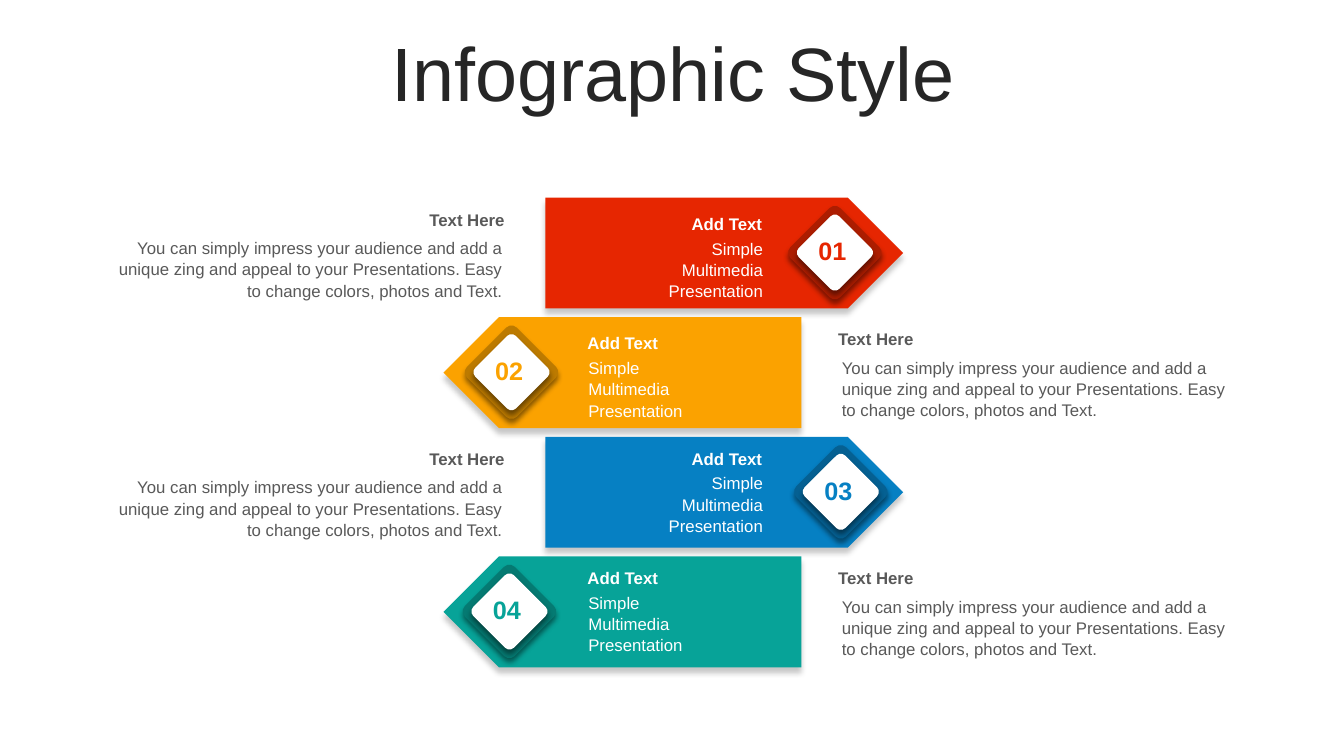
from lxml.etree import SubElement
from pptx import Presentation
from pptx.dml.color import RGBColor
from pptx.enum.shapes import MSO_SHAPE
from pptx.enum.text import MSO_ANCHOR, PP_ALIGN
from pptx.oxml.ns import qn
from pptx.util import Inches, Pt

COLS, ROWS = 160, 90
WIDE, HIGH = Inches(13.333), Inches(7.5)
TOP, PITCH = 23.52, 14.24
BAND_W, BAND_H = 42.6, 13.2
GRAY, WHITE = "595959", "FFFFFF"
NOTE = ("You can simply impress your audience and add a unique zing and appeal "
        "to your Presentations. Easy to change colors, photos and Text.")
LABEL = "Simple Multimedia Presentation"
# number, band colour, badge colour, badge column, label drop in rows
STEPS = [
    ("01", "E62601", "AC1D01", 95.2, 1.32),
    ("02", "FBA200", "BC7A00", 56.7, 1.32),
    ("03", "0680C3", "056092", 95.9, 0.8),
    ("04", "07A398", "057A72", 56.45, 0.75),
]


def grid(x, y, w, h):
    """Turn columns and rows into slide lengths."""
    return [round(v * side / count) for v, side, count in
            ((x, WIDE, COLS), (y, HIGH, ROWS), (w, WIDE, COLS), (h, HIGH, ROWS))]


def color(code):
    return RGBColor.from_string(code)


def add_run(par, text, size, code, bold=False):
    run = par.add_run()
    run.text = text
    font = run.font
    font.name, font.size, font.bold = "Arial", Pt(size), bold
    font.color.rgb = color(code)


def add_text(slide, box, text, size, code, align, bold=False, line=1.0):
    frame = slide.shapes.add_textbox(*grid(*box)).text_frame
    frame.word_wrap = True
    par = frame.paragraphs[0]
    par.alignment, par.line_spacing = align, line
    add_run(par, text, size, code, bold)


def add_shade(shape, alpha, dist):
    """Give the shape a soft shadow that falls straight down."""
    shape.shadow.inherit = False
    effects = shape._element.spPr.find(qn("a:effectLst"))
    outer = SubElement(effects, qn("a:outerShdw"), blurRad=str(Pt(4)),
                       dist=str(Pt(dist)), dir="5400000", algn="t", rotWithShape="0")
    tint = SubElement(outer, qn("a:srgbClr"), val="000000")
    SubElement(tint, qn("a:alpha"), val=str(alpha * 1000))


def add_solid(slide, kind, box, code, turn, alpha, dist):
    shape = slide.shapes.add_shape(kind, *grid(*box))
    shape.fill.solid()
    shape.fill.fore_color.rgb = color(code)
    shape.line.fill.background()
    shape.rotation = turn
    add_shade(shape, alpha, dist)
    return shape


def add_badge(slide, x, y, number, code, dark):
    for inset, side, fill in ((0, 8.4, dark), (0.78, 6.84, WHITE)):
        tile = add_solid(slide, MSO_SHAPE.ROUNDED_RECTANGLE,
                         (x + inset, y + inset, side, side), fill, 315, 43, 3)
        tile.adjustments[0] = 0.107
    add_text(slide, (x + 0.6, y + 1.6, 6.6, 4.8), number, 18, code,
             PP_ALIGN.CENTER, True)


def add_pair(slide, x, y, w, head, body, code, align, inset, trim, gap):
    """Place a bold heading with its text below, set in by inset columns."""
    add_text(slide, (x, y, w, 3.6), head, 12, code, align, True)
    add_text(slide, (x + inset, y + gap, w - trim, 8.5), body, 12, code, align,
             line=1.05)


def add_step(slide, row, number, code, dark, badge, drop):
    y = TOP + row * PITCH
    right = row % 2 == 0
    if right:
        band, turn, label, note, align = 64.92, 0, 73.56, 11.76, PP_ALIGN.RIGHT
    else:
        band, turn, label, note, align = 52.8, 180, 68.76, 98.6, PP_ALIGN.LEFT
    add_solid(slide, MSO_SHAPE.PENTAGON, (band, y, BAND_W, BAND_H), code, turn, 22, 4)
    add_badge(slide, badge, y + 2.35, number, code, dark)
    add_pair(slide, note, y + 0.8, 49.5, "Text Here", NOTE, GRAY, align,
             0.44, 0.68, 3.3)
    add_pair(slide, label, y + drop, 18.36, "Add Text", LABEL, WHITE, align,
             0.1, 0, 2.82)


def add_title(slide, text):
    title = slide.shapes.title
    title.left, title.top, title.width, title.height = grid(4.2, 4.44, 151.9, 9.5)
    frame = title.text_frame
    frame.vertical_anchor = MSO_ANCHOR.MIDDLE
    par = frame.paragraphs[0]
    par.alignment, par.line_spacing = PP_ALIGN.CENTER, 0.9
    add_run(par, text, 54, "262626")


def main():
    deck = Presentation()
    deck.slide_width, deck.slide_height = WIDE, HIGH
    slide = deck.slides.add_slide(deck.slide_layouts[5])
    add_title(slide, "Infographic Style")
    for row, step in enumerate(STEPS):
        add_step(slide, row, *step)
    deck.save("out.pptx")


if __name__ == "__main__":
    main()
